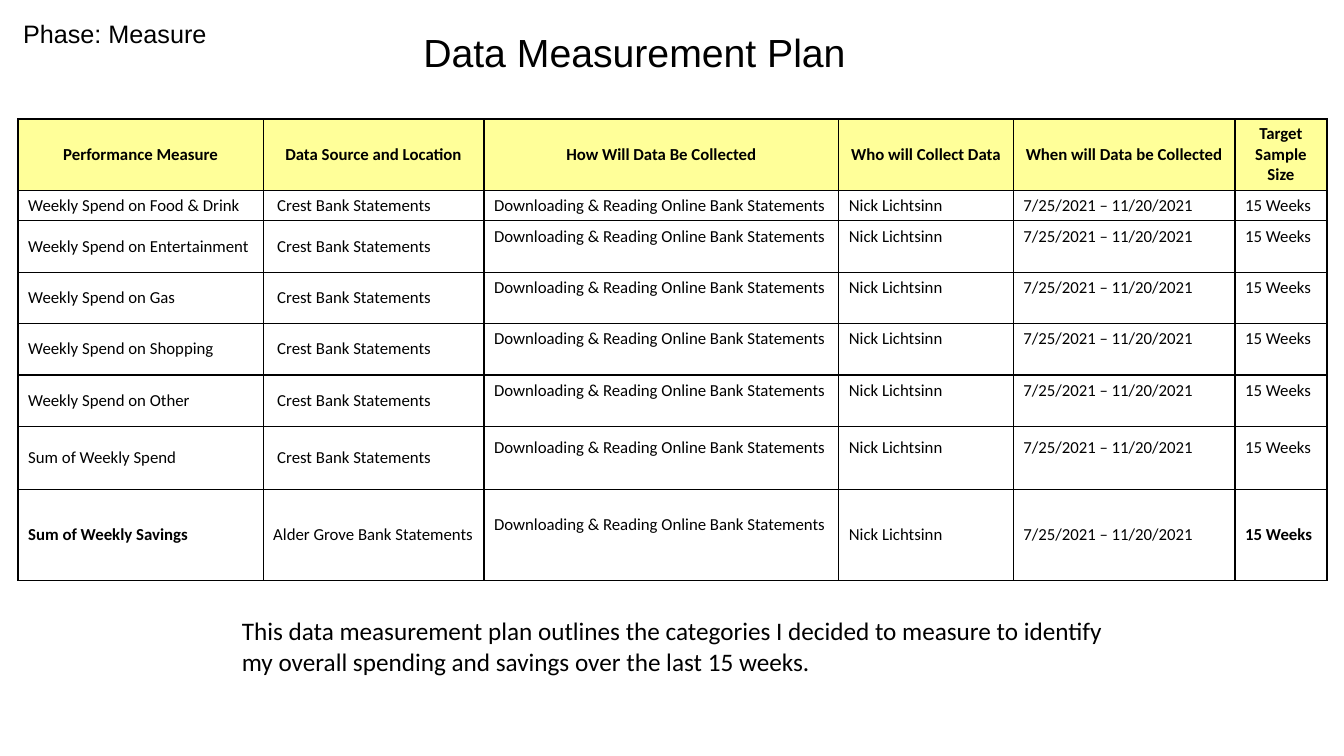
import pptx
import pptx.dml.color
import pptx.enum.text
import pptx.oxml
import pptx.oxml.ns
import pptx.util
from pptx.util import Inches

COLORS = {"text": "000000", "border": "000000", "header": "FFFF99", "background": "FFFFFF"}
ALIGN = pptx.enum.text.PP_ALIGN
ANCHOR = pptx.enum.text.MSO_ANCHOR

COLUMN_WIDTHS = [2.43, 2.19, 3.52, 1.73, 2.2, 0.91]
ROW_HEIGHTS = [0.71, 0.3] + [0.51] * 4 + [0.63, 0.9]
HEADERS = [
    "Performance Measure",
    "Data Source and Location",
    "How Will Data Be Collected",
    "Who will Collect Data",
    "When will Data be Collected",
    "Target Sample Size",
]
SPENDING_MEASURES = [
    "Weekly Spend on Food & Drink",
    "Weekly Spend on Entertainment",
    "Weekly Spend on Gas",
    "Weekly Spend on Shopping",
    "Weekly Spend on Other",
    "Sum of Weekly Spend",
]
SAVINGS_MEASURE = "Sum of Weekly Savings"
SPENDING_SOURCE = "Crest Bank Statements"
SAVINGS_SOURCE = "Alder Grove Bank Statements"
COLLECTION = [
    "Downloading & Reading Online Bank Statements",
    "Nick Lichtsinn",
    "7/25/2021 – 11/20/2021",
    "15 Weeks",
]
THIN, THICK = 1, 1.5
RAISED_MARGIN = 0.25
SOURCE_INDENT = 0.14


def rgb(name):
    return pptx.dml.color.RGBColor.from_string(COLORS[name])


def write_text(frame, text, size=12, font="Calibri", bold=False, align=ALIGN.LEFT, spacing=None):
    paragraph = frame.paragraphs[0]
    paragraph.alignment = align
    paragraph.line_spacing = spacing
    run = paragraph.add_run()
    run.text = text
    run.font.size = pptx.util.Pt(size)
    run.font.name = font
    run.font.bold = bold
    run.font.color.rgb = rgb("text")


def add_text_box(slide, left, top, width, height, text, anchor=ANCHOR.TOP, **text_format):
    box = slide.shapes.add_textbox(Inches(left), Inches(top), Inches(width), Inches(height))
    box.text_frame.word_wrap = True
    box.text_frame.vertical_anchor = anchor
    write_text(box.text_frame, text, **text_format)


def set_borders(cell, widths):
    properties = cell._tc.get_or_add_tcPr()
    for side, width in widths.items():
        properties.append(pptx.oxml.parse_xml(
            f'<a:ln{side} {pptx.oxml.ns.nsdecls("a")} w="{pptx.util.Pt(width)}">'
            f'<a:solidFill><a:srgbClr val="{COLORS["border"]}"/></a:solidFill></a:ln{side}>'
        ))


def format_cell(cell, row, column):
    last_row, last_column = len(ROW_HEIGHTS) - 1, len(COLUMN_WIDTHS) - 1
    set_borders(cell, {
        "L": THICK if column == 0 else THIN,
        "R": THICK if column == last_column else THIN,
        "T": THICK if row == 1 else THIN,
        "B": THICK if row in (0, last_row) else THIN,
    })
    cell.vertical_anchor = ANCHOR.MIDDLE
    if row == 0:
        cell.fill.solid()
        cell.fill.fore_color.rgb = rgb("header")
    else:
        cell.fill.background()
    if column == 1 and 0 < row < last_row:
        cell.margin_left = Inches(SOURCE_INDENT)
    if (1 < row < last_row and column > 1) or (row == last_row and column == 2):
        cell.margin_bottom = Inches(RAISED_MARGIN)


def add_plan_table(slide):
    rows = [HEADERS]
    rows += [[measure, SPENDING_SOURCE] + COLLECTION for measure in SPENDING_MEASURES]
    rows.append([SAVINGS_MEASURE, SAVINGS_SOURCE] + COLLECTION)
    table = slide.shapes.add_table(
        len(rows), len(HEADERS), Inches(0.18), Inches(1.18),
        Inches(sum(COLUMN_WIDTHS)), Inches(sum(ROW_HEIGHTS)),
    ).table
    table.first_row = False
    table.horz_banding = False
    for column, width in zip(table.columns, COLUMN_WIDTHS):
        column.width = Inches(width)
    for row, height in zip(table.rows, ROW_HEIGHTS):
        row.height = Inches(height)
    for row, texts in enumerate(rows):
        for column, text in enumerate(texts):
            cell = table.cell(row, column)
            format_cell(cell, row, column)
            savings_highlight = row == len(rows) - 1 and column in (0, len(HEADERS) - 1)
            write_text(
                cell.text_frame, text, bold=row == 0 or savings_highlight,
                align=ALIGN.CENTER if row == 0 else ALIGN.LEFT,
            )


def main():
    presentation = pptx.Presentation()
    presentation.slide_width = Inches(13.33)
    presentation.slide_height = Inches(7.5)
    slide = presentation.slides.add_slide(presentation.slide_layouts[6])
    slide.background.fill.solid()
    slide.background.fill.fore_color.rgb = rgb("background")
    add_text_box(slide, 4.1, 0.13, 4.62, 0.83, "Data Measurement Plan",
                 anchor=ANCHOR.MIDDLE, size=28, font="Arial", spacing=0.9)
    add_plan_table(slide)
    add_text_box(slide, 2.3, 6.06, 8.74, 0.71,
                 "This data measurement plan outlines the categories I decided to measure "
                 "to identify my overall spending and savings over the last 15 weeks.", size=18)
    add_text_box(slide, 0.13, 0.13, 2.82, 0.4, "Phase: Measure", size=18, font="Arial")
    presentation.save("out.pptx")


if __name__ == "__main__":
    main()
